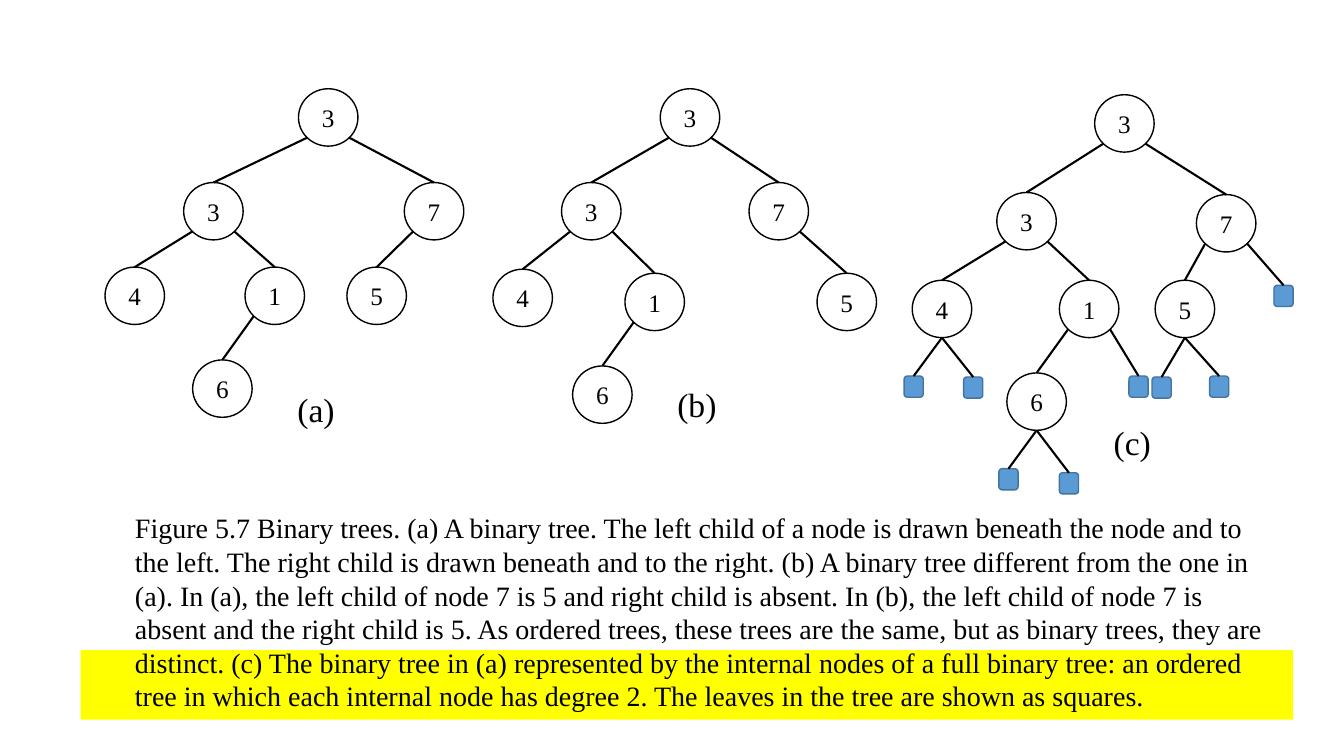
from lxml import etree
from pptx import Presentation
from pptx.dml.color import RGBColor
from pptx.enum.shapes import MSO_CONNECTOR, MSO_SHAPE
from pptx.enum.text import MSO_ANCHOR, MSO_AUTO_SIZE, PP_ALIGN
from pptx.oxml.ns import qn
from pptx.util import Pt

BLACK = RGBColor(0, 0, 0)
WHITE = RGBColor(255, 255, 255)
YELLOW = RGBColor(255, 255, 0)
BLUE = RGBColor(0x5B, 0x9B, 0xD5)
DARK_BLUE = RGBColor(0x43, 0x73, 0x9E)
FONT = "Times New Roman"
NODE_W, NODE_H = 42.5, 41
LEAF_W, LEAF_H = 13.7, 15.1
DIAGONAL = 0.35

CAPTION = (
    "Figure 5.7 Binary trees. (a) A binary tree. The left child of a node is drawn "
    "beneath the node and to the left. The right child is drawn beneath and to the right. "
    "(b) A binary tree different from the one in (a). In (a), the left child of node 7 is 5 "
    "and right child is absent. In (b), the left child of node 7 is absent and the right "
    "child is 5. As ordered trees, these trees are the same, but as binary trees, they are "
    "distinct. (c) The binary tree in (a) represented by the internal nodes of a full binary "
    "tree: an ordered tree in which each internal node has degree 2. The leaves in the tree "
    "are shown as squares."
)

# Each node is (value, left, top, parent index); a leaf has no value.
TREE_A = [
    ("3", 138.2, 0, None), ("3", 56.2, 67, 0), ("7", 213.8, 67, 0),
    ("4", 0, 127.4, 1), ("1", 100, 127.4, 1), ("5", 172.8, 127.4, 2),
    ("6", 62.6, 193.7, 4),
]
TREE_B = [
    ("3", 119.5, 0, None), ("3", 49, 67, 0), ("7", 182.9, 67, 0),
    ("4", 0, 128.9, 1), ("1", 94.3, 131.8, 1), ("5", 231.5, 131.8, 2),
    ("6", 56.9, 198, 4),
]
TREE_C = [
    ("3", 136.1, 0, None), ("3", 66.2, 69.8, 0), ("7", 208.8, 71.3, 0),
    ("4", 5.8, 132.5, 1), ("1", 110.9, 132.5, 1), ("5", 179.3, 132.5, 2),
    ("6", 73.4, 198.7, 4),
    ("", 0, 200.9, 3), ("", 42.5, 201.6, 3), ("", 67.7, 267.1, 6),
    ("", 110.9, 270, 6), ("", 160.6, 200.9, 4), ("", 177.1, 201.6, 5),
    ("", 218.2, 200.9, 5), ("", 264.2, 136.1, 2),
]


def write(s, text, size, **frame):
    """Put one run of text into a shape and format its frame."""
    tf = s.text_frame
    for name, value in frame.items():
        setattr(tf, name, value)
    p = tf.paragraphs[0]
    r = p.add_run()
    r.text = text
    for name, value in {"name": FONT, "size": Pt(size)}.items():
        setattr(r.font, name, value)
    r.font.color.rgb = BLACK
    return p


def add_block(s, kind, box, fill, line=None):
    """Add a filled preset shape without a shadow."""
    sp = s.shapes.add_shape(kind, *map(Pt, box))
    sp.shadow.inherit = False
    sp.fill.solid()
    sp.fill.fore_color.rgb = fill
    if line is None:
        sp.line.fill.background()
    else:
        sp.line.color.rgb = line
        sp.line.width = Pt(1)
    return sp


def add_text(s, box, text, size):
    """Add a wrapping text box."""
    sp = s.shapes.add_textbox(*map(Pt, box))
    write(sp, text, size, word_wrap=True, auto_size=MSO_AUTO_SIZE.SHAPE_TO_FIT_TEXT)


def add_node(s, value, left, top):
    """Add a numbered circle, or a small blue square when there is no value."""
    if not value:
        return add_block(s, MSO_SHAPE.ROUNDED_RECTANGLE, (left, top, LEAF_W, LEAF_H), BLUE, DARK_BLUE)
    sp = add_block(s, MSO_SHAPE.OVAL, (left, top, NODE_W, NODE_H), WHITE, BLACK)
    p = write(sp, value, 18, vertical_anchor=MSO_ANCHOR.MIDDLE, margin_left=0, margin_right=0)
    p.alignment = PP_ALIGN.CENTER
    return sp


def add_edge(s, parent, child, from_bottom):
    """Join a parent's bottom or lower diagonal to the top of its child."""
    x = parent.left + parent.width // 2
    y = parent.top + parent.height
    if not from_bottom:
        side = 1 if child.left + child.width // 2 > x else -1
        x += int(side * DIAGONAL * parent.width)
        y -= int((0.5 - DIAGONAL) * parent.height)
    c = s.shapes.add_connector(MSO_CONNECTOR.STRAIGHT, x, y, x, y)
    c.end_connect(child, 0)
    c.line.color.rgb = BLACK
    c.line.width = Pt(1.5)
    etree.SubElement(c._element.spPr, qn("a:effectLst"))


def add_tree(s, left, top, nodes, label, label_left, label_top):
    """Draw a tree and its label relative to the top left of its box."""
    shapes = [add_node(s, value, left + x, top + y) for value, x, y, _ in nodes]
    for child, (_, _, _, parent) in zip(shapes, nodes):
        if parent is not None:
            siblings = [value for value, _, _, index in nodes if index == parent]
            add_edge(s, shapes[parent], child, siblings == ["", ""])
    add_text(s, (left + label_left, top + label_top, 49.7, 36), label, 24)


def add_caption(s, left, top, width, height):
    """Draw the caption over the yellow band behind its last two lines."""
    band = 49.7
    add_block(s, MSO_SHAPE.RECTANGLE, (left, top + height - band, width, band), YELLOW)
    add_text(s, (left + 31.7, top, 824.4, height), CAPTION, 20)


def main():
    """Build and save the slide."""
    prs = Presentation()
    prs.slide_width, prs.slide_height = Pt(960), Pt(540)
    s = prs.slides.add_slide(prs.slide_layouts[6])
    add_caption(s, 57.6, 361.4, 866.2, 152.6)
    add_tree(s, 75, 63.4, TREE_A, "(a)", 130.3, 211)
    add_tree(s, 352.1, 63.4, TREE_B, "(b)", 124.6, 207.4)
    add_tree(s, 645.8, 67.7, TREE_C, "(c)", 142.6, 230.4)
    prs.save("out.pptx")


if __name__ == "__main__":
    main()
